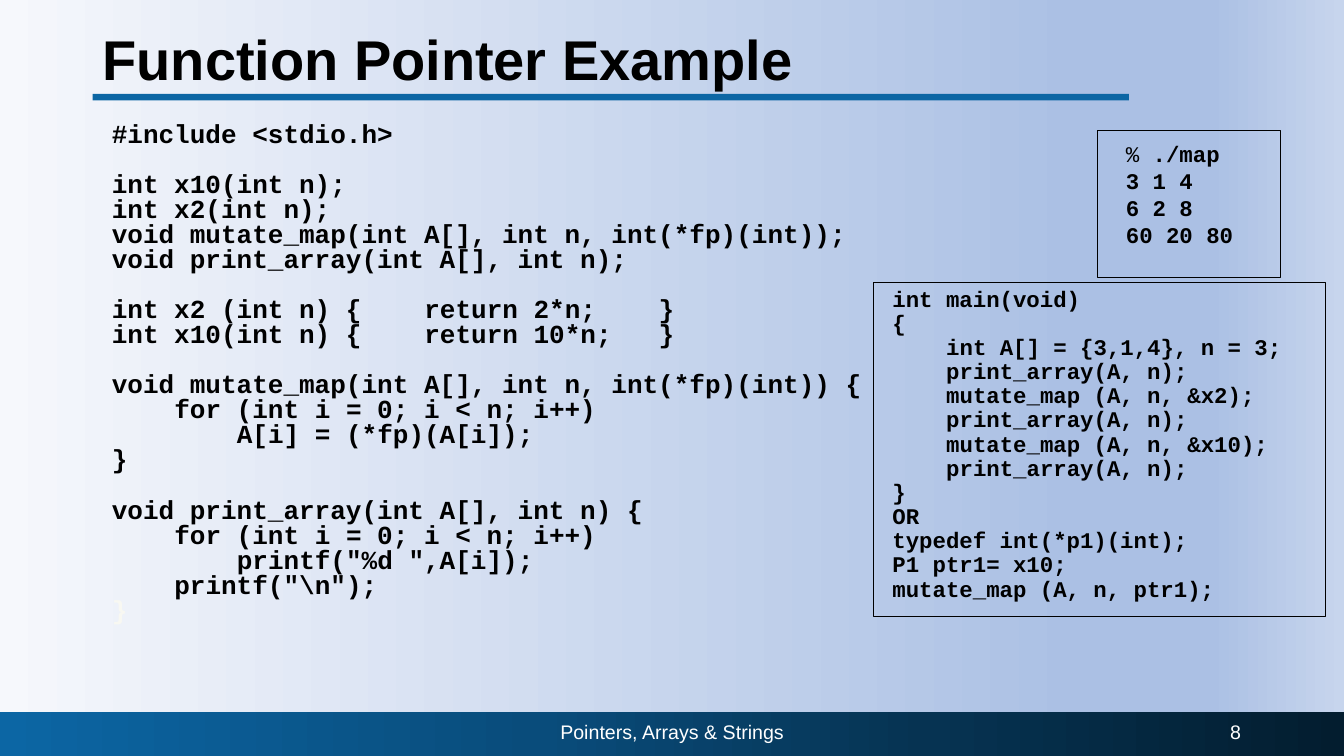
import pptx
import pptx.dml.color
import pptx.enum.shapes
import pptx.enum.text
import pptx.oxml.ns
import pptx.util
import lxml.etree

Pt = pptx.util.Pt
RGBColor = pptx.dml.color.RGBColor
Align = pptx.enum.text.PP_ALIGN
Anchor = pptx.enum.text.MSO_ANCHOR
qn = pptx.oxml.ns.qn

BLACK = RGBColor(0x00, 0x00, 0x00)
WHITE = RGBColor(0xFF, 0xFF, 0xFF)
PALE = RGBColor(0xF8, 0xF8, 0xF2)
BLUE = RGBColor(0x0C, 0x66, 0xA4)
SKY = RGBColor(0xAB, 0xC0, 0xE4)
BACKGROUND_STOPS = [(0, RGBColor(0xF6, 0xF8, 0xFC)), (80, SKY), (90, SKY),
                    (100, RGBColor(0xC7, 0xD5, 0xED))]
FOOTER_STOPS = [(0, BLUE), (40, RGBColor(0x09, 0x4C, 0x7B)),
                (69, RGBColor(0x06, 0x33, 0x52)), (100, RGBColor(0x03, 0x1D, 0x2F))]

FUNCTIONS_CODE = [
    [(0, "#include <stdio.h>")],
    [(0, "int x10(int n);"),
     (0, "int x2(int n);"),
     (0, "void mutate_map(int A[], int n, int(*fp)(int));"),
     (0, "void print_array(int A[], int n);")],
    [(0, "int x2 (int n) {", "return 2*n;", "}"),
     (0, "int x10(int n) {", "return 10*n;", "}")],
    [(0, "void mutate_map(int A[], int n, int(*fp)(int)) {"),
     (1, "for (int i = 0; i < n; i++)"),
     (2, "A[i] = (*fp)(A[i]);"),
     (0, "}")],
    [(0, "void print_array(int A[], int n) {"),
     (1, "for (int i = 0; i < n; i++)"),
     (2, 'printf("%d ",A[i]);'),
     (1, 'printf("\\n");'),
     (0, "}")],
]
MAIN_CODE = [[
    (0, "int main(void)"),
    (0, "{"),
    (1, "int A[] = {3,1,4}, n = 3;"),
    (1, "print_array(A, n);"),
    (1, "mutate_map (A, n, &x2);"),
    (1, "print_array(A, n);"),
    (1, "mutate_map (A, n, &x10);"),
    (1, "print_array(A, n);"),
    (0, "}"),
    (0, "OR"),
    (0, "typedef int(*p1)(int);"),
    (0, "P1 ptr1= x10;"),
    (0, "mutate_map (A, n, ptr1);"),
]]
OUTPUT = [[(0, "% ./map"), (0, "3 1 4"), (0, "6 2 8"), (0, "60 20 80")]]

CODE_FONT = "Courier New"
CHARACTER_WIDTH = 0.6
LINE_HEIGHT = 1.2
LEVEL_COLUMNS = 4
PART_COLUMNS = (0, 20, 35)

presentation = pptx.Presentation()
presentation.slide_width = Pt(960)
presentation.slide_height = Pt(540)
slide = presentation.slides.add_slide(presentation.slide_layouts[6])


def set_attributes(target, values):
    for name, value in values.items():
        setattr(target, name, value)


def set_gradient(fill, element, stops):
    fill.gradient()
    fill.gradient_angle = 0
    stop_list = next(element.iter(qn("a:gsLst")))
    for stop in list(stop_list):
        stop_list.remove(stop)
    for position, color in stops:
        stop = lxml.etree.SubElement(stop_list, qn("a:gs"), pos=str(position * 1000))
        lxml.etree.SubElement(stop, qn("a:srgbClr"), val=str(color))


def add_rectangle(left, top, width, height):
    shape = slide.shapes.add_shape(pptx.enum.shapes.MSO_SHAPE.RECTANGLE,
                                   Pt(left), Pt(top), Pt(width), Pt(height))
    shape.shadow.inherit = False
    shape.line.fill.background()
    return shape


def add_run(paragraph, text, color, font):
    run = paragraph.add_run()
    run.text = text
    set_attributes(run.font, font)
    run.font.color.rgb = color
    return run


def add_label(text, box, alignment, size, bold, color):
    frame = slide.shapes.add_textbox(*map(Pt, box)).text_frame
    set_attributes(frame, {"word_wrap": True, "vertical_anchor": Anchor.MIDDLE})
    paragraph = frame.paragraphs[0]
    set_attributes(paragraph, {"alignment": alignment, "line_spacing": 0.9})
    add_run(paragraph, text, color, {"name": "Arial", "size": Pt(size), "bold": bold})


def add_code_line(paragraph, parts, size):
    font = {"name": CODE_FONT, "size": Pt(size), "bold": True}
    used = 0
    for start, part in zip(PART_COLUMNS, parts):
        if start:
            gap = add_run(paragraph, " ", BLACK, font)
            extra = (start - used - 1) * size * CHARACTER_WIDTH
            gap.font._element.set("spc", str(round(extra * 100)))
        used = start + len(part)
        if part.startswith("%"):
            add_run(paragraph, "%", BLACK, {**font, "bold": False})
            part = part[1:]
        add_run(paragraph, part, BLACK, font)


def add_code(blocks, box, size, spacing, insets, outlined):
    if outlined:
        shape = add_rectangle(*box)
        shape.fill.background()
        shape.line.color.rgb = BLACK
        shape.line.width = Pt(0.75)
    else:
        shape = slide.shapes.add_textbox(*map(Pt, box))
    frame = shape.text_frame
    left, top = map(Pt, insets)
    set_attributes(frame, {"word_wrap": True, "vertical_anchor": Anchor.TOP,
                           "margin_left": left, "margin_top": top})
    blank_line = size * LINE_HEIGHT * spacing
    lines = [(level, parts, block_number > 0 and line_number == 0)
             for block_number, block in enumerate(blocks)
             for line_number, (level, *parts) in enumerate(block)]
    for number, (level, parts, starts_block) in enumerate(lines):
        paragraph = frame.add_paragraph() if number else frame.paragraphs[0]
        set_attributes(paragraph, {"alignment": Align.LEFT, "line_spacing": spacing,
                                   "space_before": Pt(blank_line if starts_block else 0)})
        properties = paragraph._p.get_or_add_pPr()
        properties.set("marL", str(Pt(level * LEVEL_COLUMNS * size * CHARACTER_WIDTH)))
        properties.set("indent", "0")
        add_code_line(paragraph, parts, size)
    return frame


set_gradient(slide.background.fill, slide.element, BACKGROUND_STOPS)
footer = add_rectangle(0, 508.3, 960, 31.7)
set_gradient(footer.fill, footer.element, FOOTER_STOPS)
title_rule = add_rectangle(66.2, 67, 740.2, 4.7)
title_rule.fill.solid()
title_rule.fill.fore_color.rgb = BLUE

LABELS = [
    ("Function Pointer Example", (66.2, 8, 828, 72.7), Align.LEFT, 40, True, BLACK),
    ("Pointers, Arrays & Strings", (318.2, 509, 324, 28.8), Align.CENTER, 14, False, WHITE),
    ("8", (677.5, 509.5, 216, 28.8), Align.RIGHT, 14, False, WHITE),
]
for label in LABELS:
    add_label(*label)

functions_frame = add_code(FUNCTIONS_CODE, (66.2, 85, 828, 406), 18.6, 0.8, (13.7, 3.6), False)
functions_frame.paragraphs[-1].runs[0].font.color.rgb = PALE
add_code(MAIN_CODE, (623.8, 202, 323.3, 238.5), 16, 0.9, (13.7, 3.6), True)
add_code(OUTPUT, (784, 93, 131, 105), 16, 1, (20.2, 7.2), True)

presentation.save("out.pptx")
